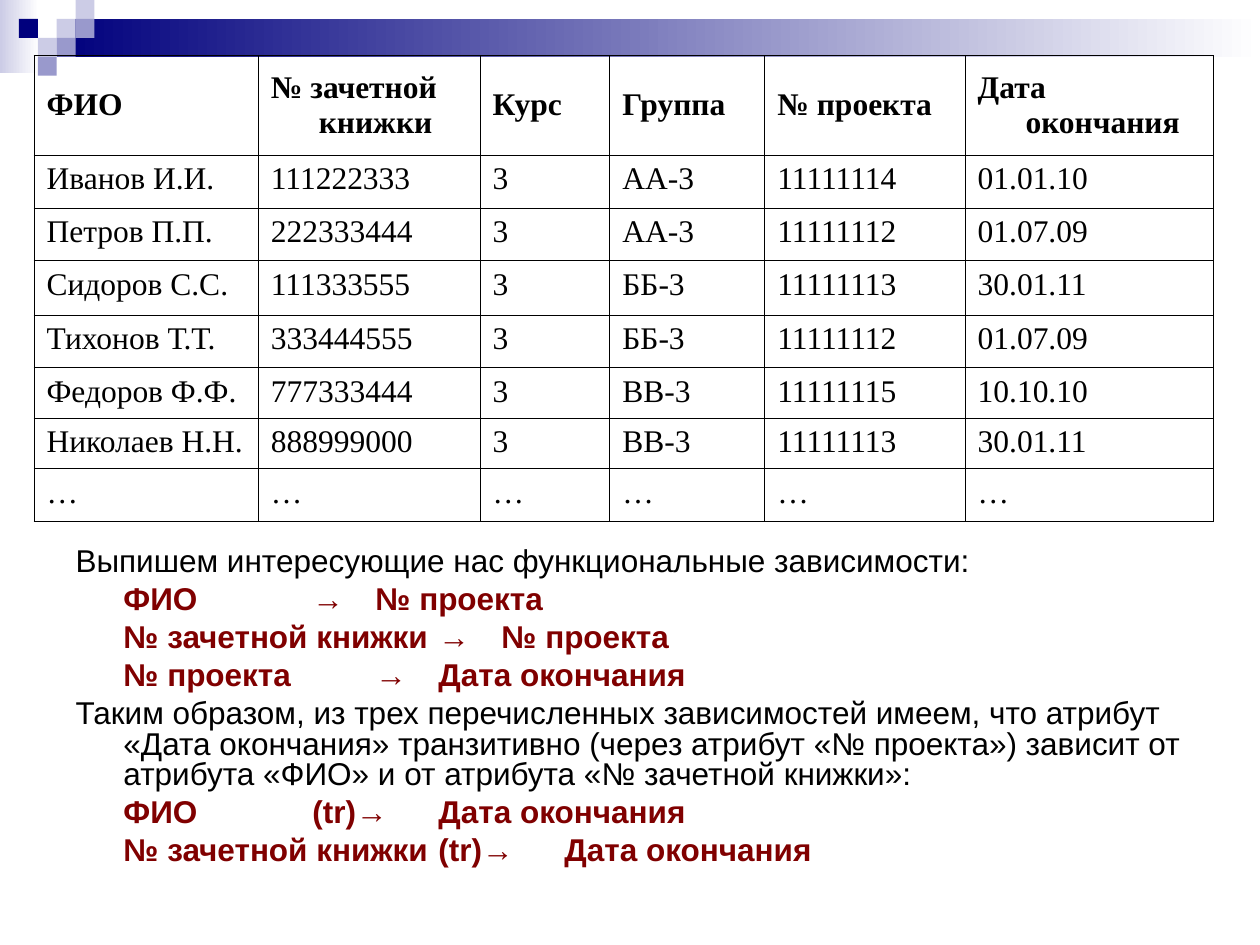
from lxml import etree
from pptx import Presentation
from pptx.dml.color import RGBColor
from pptx.enum.shapes import MSO_SHAPE
from pptx.enum.text import MSO_ANCHOR, MSO_AUTO_SIZE, PP_ALIGN
from pptx.oxml.ns import qn
from pptx.util import Inches, Pt

RECTANGLE = MSO_SHAPE.RECTANGLE
MIDDLE, TOP = MSO_ANCHOR.MIDDLE, MSO_ANCHOR.TOP
LEFT, JUSTIFY = PP_ALIGN.LEFT, PP_ALIGN.JUSTIFY
NO_AUTOFIT = MSO_AUTO_SIZE.NONE

GRID_COLUMNS, GRID_ROWS = 1000, 750
SQUARE = 15  # side of a corner square, in grid columns
HANGING = 38  # hanging indent, in grid columns

WHITE, BLACK, MAROON = "FFFFFF", "000000", "800000"
NAVY, LILAC, PALE = "00007D", "9999CC", "CCCCE6"

# Column and row of each square, counted in squares
CORNER_SQUARES = [
    (3, 1, PALE), (4, 0, PALE), (4, 1, LILAC), (2, 2, PALE),
    (1, 1, NAVY), (3, 2, LILAC), (2, 3, LILAC),
]

COLUMN_WIDTHS = [178, 176, 103, 123, 159, 197]
ROW_HEIGHTS = [79, 42, 42, 43, 42, 40, 40, 42]
STUDENTS = [
    ["ФИО", "№ зачетной книжки", "Курс", "Группа", "№ проекта", "Дата окончания"],
    ["Иванов И.И.", "111222333", "3", "АА-3", "11111114", "01.01.10"],
    ["Петров П.П.", "222333444", "3", "АА-3", "11111112", "01.07.09"],
    ["Сидоров С.С.", "111333555", "3", "ББ-3", "11111113", "30.01.11"],
    ["Тихонов Т.Т.", "333444555", "3", "ББ-3", "11111112", "01.07.09"],
    ["Федоров Ф.Ф.", "777333444", "3", "ВВ-3", "11111115", "10.10.10"],
    ["Николаев Н.Н.", "888999000", "3", "ВВ-3", "11111113", "30.01.11"],
    ["…"] * 6,
]

# Dependencies start with a tab, explanations do not
DEPENDENCIES = [
    "Выпишем интересующие нас функциональные зависимости:",
    "\tФИО \t\t→ \t№ проекта",
    "\t№ зачетной книжки \t→ \t№ проекта",
    "\t№ проекта\t\t→ \tДата окончания",
    "Таким образом, из трех перечисленных зависимостей имеем, что атрибут "
    "«Дата окончания» транзитивно (через атрибут «№ проекта») зависит от "
    "атрибута «ФИО» и от атрибута «№ зачетной книжки»:",
    "\tФИО \t\t(tr)→ \tДата окончания",
    "\t№ зачетной книжки \t(tr)→ \tДата окончания",
]


def rgb(code):
    return RGBColor.from_string(code)


def write(paragraph, text, font="Arial", size=18, colour=BLACK, bold=False,
          align=LEFT, line_spacing=1.0, before=0):
    """Fill a paragraph with a hanging indent and a tab stop at every inch."""
    properties = paragraph._p.get_or_add_pPr()
    properties.set("marL", str(Inches(HANGING / 100)))
    properties.set("indent", str(-Inches(HANGING / 100)))
    etree.SubElement(properties, qn("a:buNone"))
    tabs = etree.SubElement(properties, qn("a:tabLst"))
    for inch in range(8):
        etree.SubElement(tabs, qn("a:tab"), pos=str(Inches(inch)), algn="l")
    paragraph.alignment = align
    paragraph.line_spacing = line_spacing
    paragraph.space_before = Pt(before)
    run = paragraph.add_run()
    run.text = text
    run.font.name, run.font.size, run.font.bold = font, Pt(size), bold
    run.font.color.rgb = rgb(colour)


def outline_cell(cell, colour=BLACK, width=0.45):
    properties = cell._tc.get_or_add_tcPr()
    for position, side in enumerate(("lnL", "lnR", "lnT", "lnB")):
        border = etree.Element(qn(f"a:{side}"), w=str(Pt(width)))
        fill = etree.SubElement(border, qn("a:solidFill"))
        etree.SubElement(fill, qn("a:srgbClr"), val=colour)
        properties.insert(position, border)


class SlideBuilder:
    """Draws on one slide; lengths are columns and rows of the slide grid."""

    def __init__(self, presentation):
        self.column = presentation.slide_width / GRID_COLUMNS
        self.row = presentation.slide_height / GRID_ROWS
        self.slide = presentation.slides.add_slide(presentation.slide_layouts[1])
        title = self.slide.shapes.title._element
        title.getparent().remove(title)

    def across(self, columns):
        return round(columns * self.column)

    def down(self, rows):
        return round(rows * self.row)

    def box(self, left, top, width, height):
        return (self.across(left), self.down(top),
                self.across(width), self.down(height))

    def rectangle(self, area, colour, fade_to=None):
        """Draw a plain rectangle, or one that fades from left to right."""
        shape = self.slide.shapes.add_shape(RECTANGLE, *self.box(*area))
        shape.shadow.inherit = False
        shape.line.fill.background()
        if fade_to is None:
            shape.fill.solid()
            shape.fill.fore_color.rgb = rgb(colour)
            return
        shape.fill.gradient()
        shape.fill.gradient_angle = 180
        for stop, shade in zip(shape.fill.gradient_stops, (fade_to, colour)):
            stop.color.rgb = rgb(shade)

    def body(self, area, lines):
        placeholder = self.slide.placeholders[1]
        (placeholder.left, placeholder.top,
         placeholder.width, placeholder.height) = self.box(*area)
        frame = placeholder.text_frame
        frame.auto_size = NO_AUTOFIT
        frame.word_wrap = True
        frame.vertical_anchor = TOP
        for number, line in enumerate(lines):
            paragraph = frame.add_paragraph() if number else frame.paragraphs[0]
            dependency = line.startswith("\t")
            write(paragraph, line, bold=dependency, line_spacing=0.8,
                  colour=MAROON if dependency else BLACK,
                  before=4.5 if number else 0)

    def table(self, left, top, rows):
        area = self.box(left, top, sum(COLUMN_WIDTHS), sum(ROW_HEIGHTS))
        table = self.slide.shapes.add_table(
            len(rows), len(COLUMN_WIDTHS), *area).table
        table.first_row = table.horz_banding = False
        for column, width in zip(table.columns, COLUMN_WIDTHS):
            column.width = self.across(width)
        for row, height in zip(table.rows, ROW_HEIGHTS):
            row.height = self.down(height)
        for r, values in enumerate(rows):
            header = r == 0
            for c, value in enumerate(values):
                cell = table.cell(r, c)
                cell.fill.background()
                outline_cell(cell)
                cell.vertical_anchor = MIDDLE if header else TOP
                write(cell.text_frame.paragraphs[0], value,
                      font="Times New Roman", bold=header,
                      align=LEFT if header else JUSTIFY)


def main():
    presentation = Presentation()
    presentation.slide_width, presentation.slide_height = Inches(10), Inches(7.5)
    builder = SlideBuilder(presentation)
    builder.rectangle((0, 0, 31, 58), PALE, fade_to=WHITE)
    builder.rectangle((45, 15, 955, 30), NAVY, fade_to=WHITE)
    for column, row, colour in CORNER_SQUARES:
        builder.rectangle((column * SQUARE, row * SQUARE, SQUARE, SQUARE), colour)
    builder.body((50, 430, 923, 289), DEPENDENCIES)
    builder.table(27, 44, STUDENTS)
    presentation.save("out.pptx")


if __name__ == "__main__":
    main()
